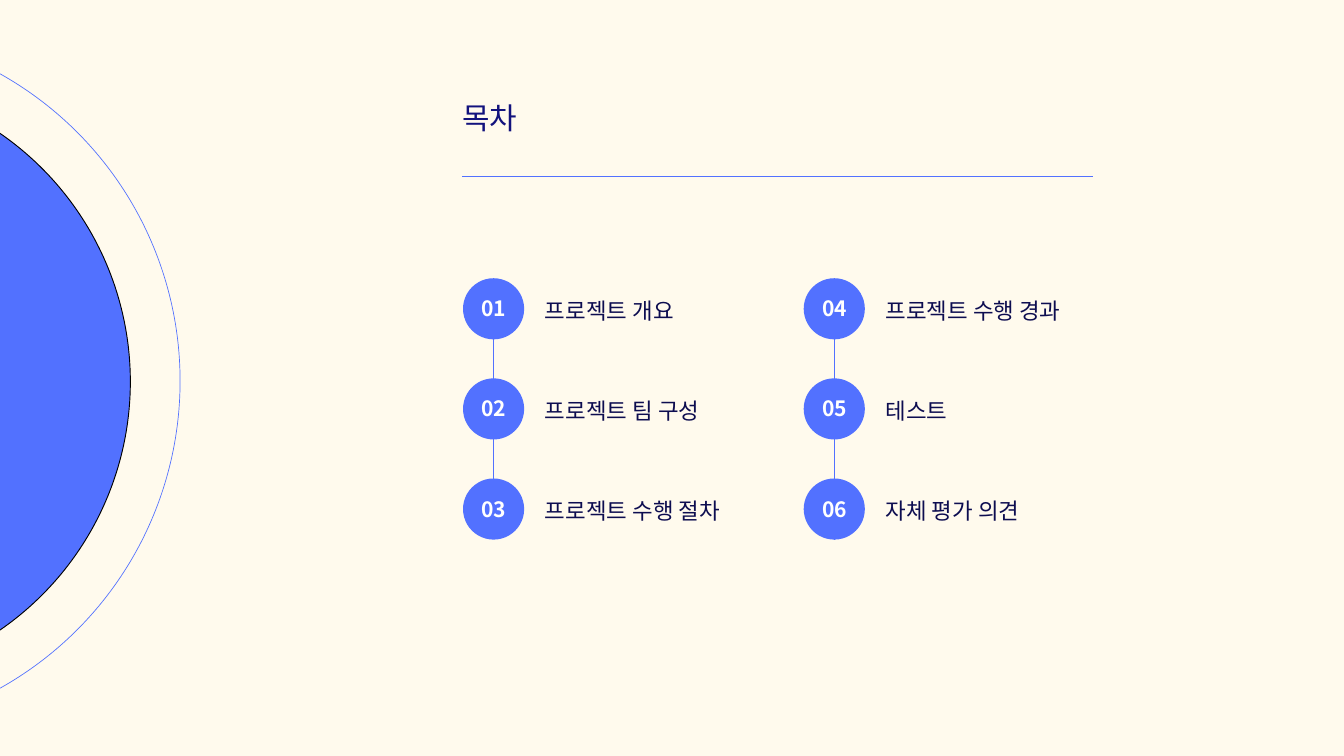
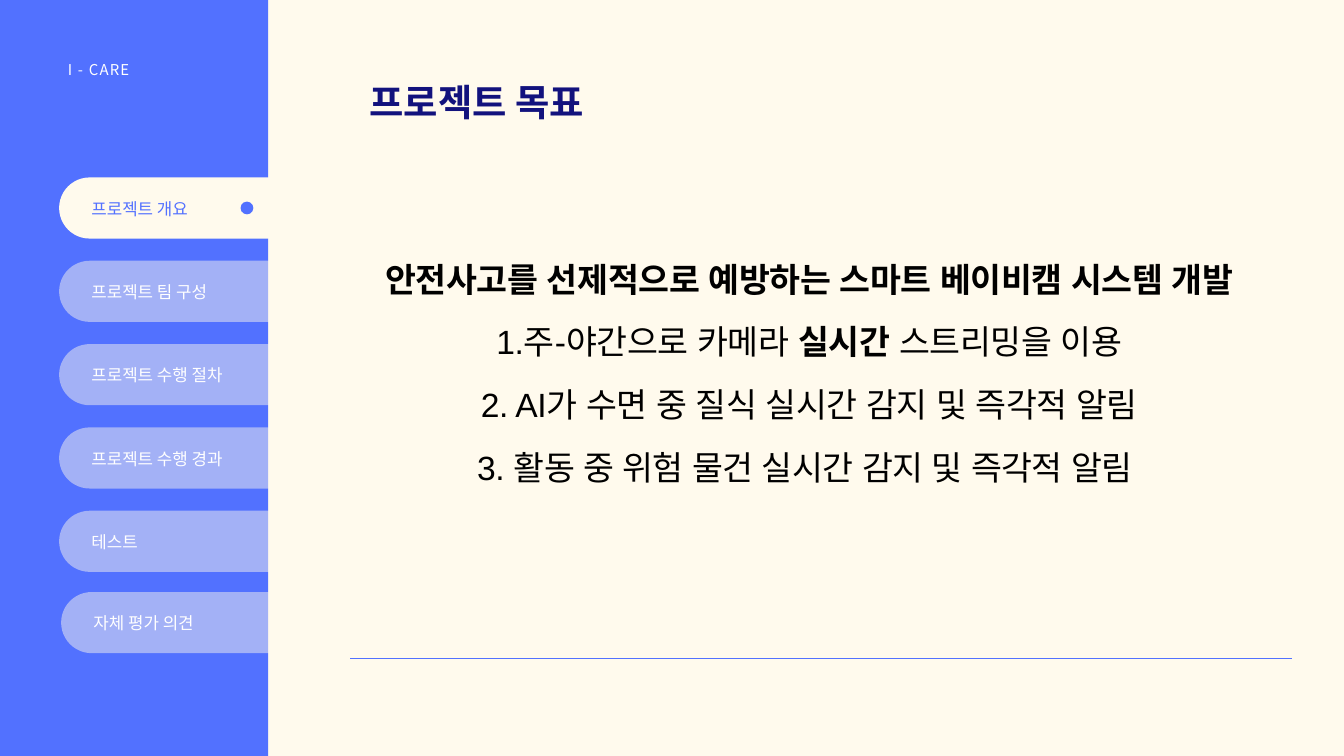
import dataclasses
import typing

import lxml.etree
import pptx
import pptx.dml.color
import pptx.enum.shapes
import pptx.enum.text
import pptx.oxml.ns
import pptx.util

SHAPES = pptx.enum.shapes.MSO_SHAPE
ALIGN = pptx.enum.text.PP_ALIGN

SLIDE_WIDTH = pptx.util.Inches(20)
SLIDE_HEIGHT = pptx.util.Inches(11.25)
GRID_COLUMNS = 20
GRID_ROWS = 11.25

COLORS = {
    "cream": "FFFAED",
    "blue": "5271FF",
    "active": "5371FF",
    "title": "12127D",
    "label": "0D0D50",
    "white": "FFFFFF",
    "black": "000000",
}
HEADING_FONT = "Noto Sans CJK KR"
BODY_FONT = "Arial"
BULLET_SIZE = 0.91


@dataclasses.dataclass(frozen=True)
class Chapter:
    title: str
    label_width: float


@dataclasses.dataclass(frozen=True)
class ChapterColumn:
    left: float
    line_end: float
    first_number: int
    chapters: tuple[Chapter, ...]


@dataclasses.dataclass(frozen=True)
class Tab:
    title: str
    shift_x: float = 0
    shift_y: float = 0


@dataclasses.dataclass(frozen=True)
class Run:
    text: str
    bold: bool = False
    spacing: float = 0


CHAPTER_COLUMNS = (
    ChapterColumn(6.89, 7.76, 1, (
        Chapter("프로젝트 개요", 3.14),
        Chapter("프로젝트 팀 구성", 3.31),
        Chapter("프로젝트 수행 절차", 3.63),
    )),
    ChapterColumn(11.96, 8.03, 4, (
        Chapter("프로젝트 수행 경과", 5.23),
        Chapter("테스트", 4.82),
        Chapter("자체 평가 의견", 4.73),
    )),
)
TABS = (
    Tab("프로젝트 개요"),
    Tab("프로젝트 팀 구성"),
    Tab("프로젝트 수행 절차"),
    Tab("프로젝트 수행 경과"),
    Tab("테스트"),
    Tab("자체 평가 의견", 0.03, -0.03),
)
GOALS = (
    (Run("안전사고를 선제적으로 예방하는 스마트 베이비캠 시스템 개발", True, -0.4),),
    (Run("1.주-야간으로 카메라 ", spacing=-0.4), Run("실시간", True, -0.4),
     Run(" 스트리밍을 이", spacing=-0.4), Run("용", spacing=-0.5)),
    (Run("2. AI가 수면 중 질식 실시간 감지 및 즉각적 알림", spacing=-0.4),),
    (Run("3. 활동 중 위험 물건 실시간 감지 및 즉각적 알림 ", spacing=-0.5),),
)


def columns(count: float) -> int:
    return round(SLIDE_WIDTH * count / GRID_COLUMNS)


def rows(count: float) -> int:
    return round(SLIDE_HEIGHT * count / GRID_ROWS)


def color(name: str) -> pptx.dml.color.RGBColor:
    return pptx.dml.color.RGBColor.from_string(COLORS[name])


def add_text(
    slide: typing.Any,
    text: str | tuple[tuple[Run, ...], ...],
    left: float,
    top: float,
    width: float,
    height: float,
    *,
    size: float,
    line: float,
    fill: str,
    font: str = HEADING_FONT,
    bold: bool = False,
    spacing: float = 0,
    gap: float = 0,
    align: typing.Any = ALIGN.LEFT,
) -> None:
    box = slide.shapes.add_textbox(columns(left), rows(top), columns(width), rows(height))
    frame = box.text_frame
    frame.word_wrap = True
    frame.auto_size = pptx.enum.text.MSO_AUTO_SIZE.SHAPE_TO_FIT_TEXT
    frame.margin_left = frame.margin_right = frame.margin_top = frame.margin_bottom = 0
    paragraphs = ((Run(text, bold, spacing),),) if isinstance(text, str) else text
    for index, pieces in enumerate(paragraphs):
        paragraph = frame.add_paragraph() if index else frame.paragraphs[0]
        paragraph.alignment = align
        paragraph.line_spacing = pptx.util.Pt(line)
        if index:
            paragraph.space_before = pptx.util.Pt(gap)
        for piece in pieces:
            run = paragraph.add_run()
            run.text = piece.text
            run.font.name = font
            run.font.size = pptx.util.Pt(size)
            run.font.bold = piece.bold
            run.font.color.rgb = color(fill)
            properties = run._r.get_or_add_rPr()
            if piece.spacing:
                properties.set("spc", str(round(piece.spacing * 100)))
            east_asian = lxml.etree.SubElement(properties, pptx.oxml.ns.qn("a:ea"))
            east_asian.set("typeface", font)


def add_figure(
    slide: typing.Any,
    kind: typing.Any,
    left: float,
    top: float,
    width: float,
    height: float,
    *,
    fill: str | None = None,
    opacity: int = 100,
    outline: str | None = None,
    outline_width: float = 0.75,
) -> typing.Any:
    shape = slide.shapes.add_shape(kind, columns(left), rows(top), columns(width), rows(height))
    shape.shadow.inherit = False
    if fill:
        shape.fill.solid()
        shape.fill.fore_color.rgb = color(fill)
        if opacity < 100:
            hex_color = shape._element.spPr.find(".//" + pptx.oxml.ns.qn("a:srgbClr"))
            alpha = lxml.etree.SubElement(hex_color, pptx.oxml.ns.qn("a:alpha"))
            alpha.set("val", str(opacity * 1000))
    else:
        shape.fill.background()
    if outline:
        shape.line.color.rgb = color(outline)
        shape.line.width = pptx.util.Pt(outline_width)
    else:
        shape.line.fill.background()
    return shape


def add_rule(slide: typing.Any, left: float, top: float, right: float, bottom: float) -> None:
    connector = slide.shapes.add_connector(
        pptx.enum.shapes.MSO_CONNECTOR.STRAIGHT,
        columns(left), rows(top), columns(right), rows(bottom),
    )
    connector.line.color.rgb = color("blue")
    connector.line.width = pptx.util.Pt(0.75)
    lxml.etree.SubElement(connector._element.spPr, pptx.oxml.ns.qn("a:effectLst"))


def add_blank_slide(presentation: typing.Any) -> typing.Any:
    slide = presentation.slides.add_slide(presentation.slide_layouts[6])
    slide.background.fill.solid()
    slide.background.fill.fore_color.rgb = color("cream")
    return slide


def add_chapter(slide: typing.Any, chapter: Chapter, number: int, left: float, top: float) -> None:
    add_figure(slide, SHAPES.OVAL, left, top, BULLET_SIZE, BULLET_SIZE, fill="blue")
    add_text(slide, f"{number:02}", left + 0.15, top + 0.26, 0.62, 0.37,
             size=22.6, line=27.2, fill="white", bold=True, align=ALIGN.CENTER)
    add_text(slide, chapter.title, left + 1.22, top + 0.21, chapter.label_width, 0.47,
             size=24, line=33.6, fill="label")


def build_contents(presentation: typing.Any) -> None:
    slide = add_blank_slide(presentation)
    add_rule(slide, 6.88, 2.62, 16.26, 2.62)
    add_figure(slide, SHAPES.OVAL, -7.04, 1.19, 8.98, 8.98,
               fill="blue", outline="black", outline_width=1)
    add_figure(slide, SHAPES.OVAL, -7.8, 0.43, 10.48, 10.48, outline="blue")
    first_top, pitch = 4.14, 1.49
    for column in CHAPTER_COLUMNS:
        center = column.left + BULLET_SIZE / 2
        add_rule(slide, center, 4.68, center, column.line_end)
        for row, chapter in enumerate(column.chapters):
            add_chapter(slide, chapter, column.first_number + row,
                        column.left, first_top + row * pitch)
    add_text(slide, "목차", 6.88, 1.62, 3.44, 0.41, size=32, line=28.8, fill="title")


def add_tab(slide: typing.Any, tab: Tab, index: int, active: bool) -> None:
    left = 0.88 + tab.shift_x
    top = 2.64 + index * 1.24 + tab.shift_y
    pill = add_figure(slide, SHAPES.ROUNDED_RECTANGLE, left, top, 3.56, 0.91,
                      fill="cream", opacity=100 if active else 47)
    pill.adjustments[0] = 0.5
    add_text(slide, tab.title, left + 0.48, top + 0.31, 2.55, 0.3,
             size=18, line=21.6, fill="active" if active else "white")
    if active:
        add_figure(slide, SHAPES.OVAL, left + 2.7, top + 0.36, 0.19, 0.19, fill="blue")


def build_goal(presentation: typing.Any) -> None:
    slide = add_blank_slide(presentation)
    add_figure(slide, SHAPES.RECTANGLE, 0, 0, 3.99, GRID_ROWS, fill="blue")
    add_text(slide, GOALS, 4.92, 3.98, 14.25, 3.29, size=36, line=33.6, gap=33.6,
             fill="black", font=BODY_FONT, align=ALIGN.CENTER)
    add_rule(slide, 5.21, 9.8, 19.23, 9.8)
    add_text(slide, "프로젝트 목표", 5.5, 1.18, 8.99, 0.67,
             size=40, line=48, fill="title", bold=True)
    add_text(slide, "I - CARE", 1.01, 0.85, 2.13, 0.31,
             size=16, line=23, fill="white", spacing=1.3)
    for index, tab in enumerate(TABS):
        add_tab(slide, tab, index, active=index == 0)


def main() -> None:
    presentation = pptx.Presentation()
    presentation.slide_width = SLIDE_WIDTH
    presentation.slide_height = SLIDE_HEIGHT
    build_contents(presentation)
    build_goal(presentation)
    presentation.save("out.pptx")


if __name__ == "__main__":
    main()
